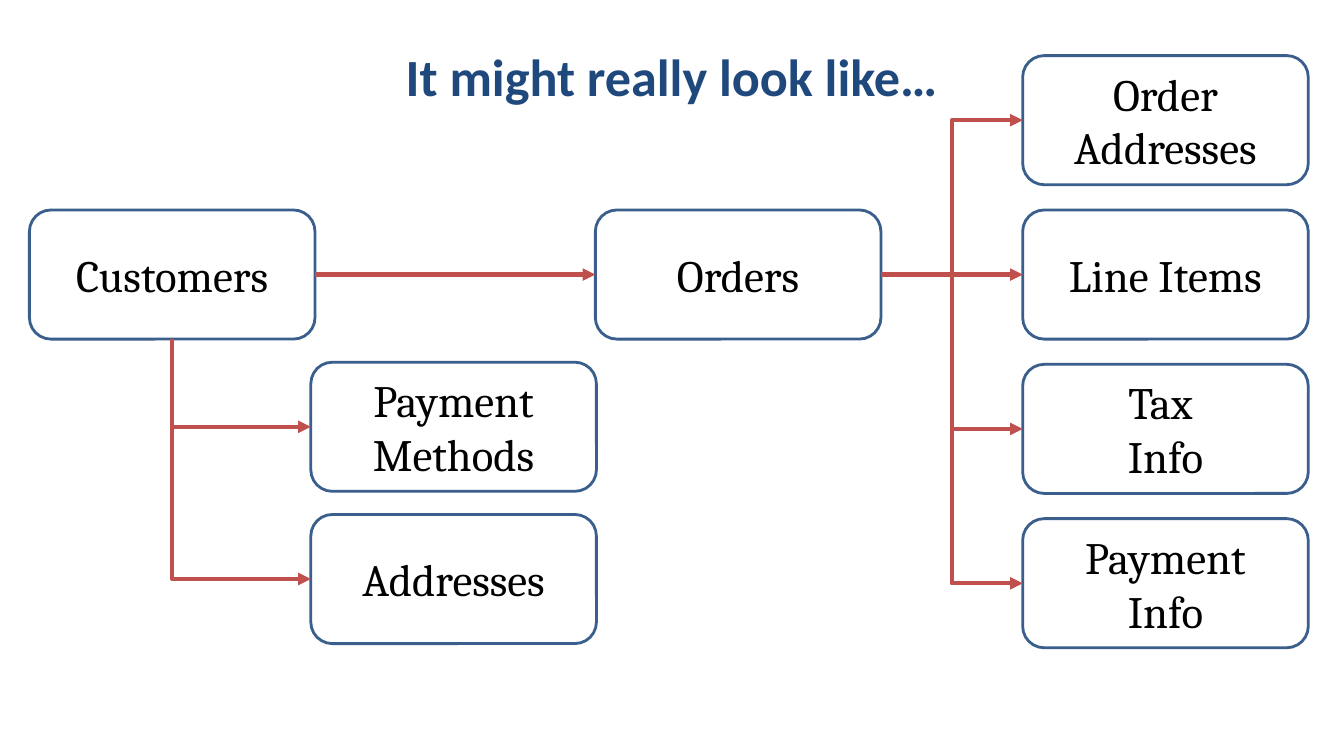
from lxml.etree import SubElement
from pptx import Presentation
from pptx.dml.color import RGBColor
from pptx.enum.shapes import MSO_CONNECTOR as Link, MSO_SHAPE as Shape
from pptx.enum.text import MSO_ANCHOR as Anchor, PP_ALIGN as Align
from pptx.oxml.ns import qn
from pptx.util import Emu, Pt

PX = 9525
BOX_W, BOX_H = 272, 123
TOP = 200
LEFT_GAP, RIGHT_GAP = 145, 147
UNDER, RIGHT_X = 296, 974
SITE_LEFT, SITE_BOTTOM, SITE_RIGHT = 1, 2, 3


def px(n):
    return Emu(n * PX)


def color(code):
    return RGBColor.from_string(code)


def write(frame, words, size=32, font="Cambria", ink="000000", bold=False):
    frame.word_wrap = True
    frame.vertical_anchor = Anchor.MIDDLE
    frame.text = words
    para = frame.paragraphs[0]
    para.alignment = Align.CENTER
    face = para.font
    face.size, face.name, face.bold = Pt(size), font, bold
    face.color.rgb = color(ink)


def title(slide, words):
    area = slide.shapes.add_textbox(px(64), px(32), px(1152), px(80))
    write(area.text_frame, words, size=37.3, font="Calibri", ink="1F497D", bold=True)


def box(slide, words, x, y):
    node = slide.shapes.add_shape(Shape.ROUNDED_RECTANGLE, px(x), px(y), px(BOX_W), px(BOX_H))
    node.shadow.inherit = False
    node.fill.background()
    node.line.color.rgb = color("3A5F8C")
    node.line.width = Pt(2)
    write(node.text_frame, words)
    return node


def arrow(slide, start, end, site=SITE_RIGHT):
    link = slide.shapes.add_connector(Link.ELBOW, 0, 0, 0, 0)
    link.begin_connect(start, site)
    link.end_connect(end, SITE_LEFT)
    link.line.color.rgb = color("C0504D")
    link.line.width = Pt(3)
    SubElement(link.line._get_or_add_ln(), qn("a:tailEnd"), type="triangle")
    SubElement(link._element.spPr, qn("a:effectLst"))
    return link


def drop(slide, start, end):
    """Arrow that leaves the bottom of start and turns once into end."""
    link = arrow(slide, start, end, SITE_BOTTOM)
    x, y = start.left + start.width // 2, start.top + start.height
    wide, high = end.left - x, end.top + end.height // 2 - y
    # A quarter turn swaps the width and height around the same centre.
    link.left, link.top = x + (wide - high) // 2, y + (high - wide) // 2
    link.width, link.height = high, wide
    props = link._element.spPr
    frame = props.find(qn("a:xfrm"))
    frame.set("rot", "16200000")
    frame.set("flipH", "1")
    props.find(qn("a:prstGeom")).set("prst", "bentConnector2")


def main():
    deck = Presentation()
    deck.slide_width, deck.slide_height = px(1280), px(720)
    slide = deck.slides.add_slide(deck.slide_layouts[6])
    title(slide, "It might really look like…")

    buyers = box(slide, "Customers", 28, TOP)
    orders = box(slide, "Orders", 567, TOP)
    arrow(slide, buyers, orders)

    for row, words in enumerate(["Payment Methods", "Addresses"], 1):
        drop(slide, buyers, box(slide, words, UNDER, TOP + row * LEFT_GAP))

    parts = ["Order Addresses", "Line Items", "Tax \vInfo", "Payment\vInfo"]
    for row, words in enumerate(parts, -1):
        arrow(slide, orders, box(slide, words, RIGHT_X, TOP + row * RIGHT_GAP))

    deck.save("out.pptx")


if __name__ == "__main__":
    main()
